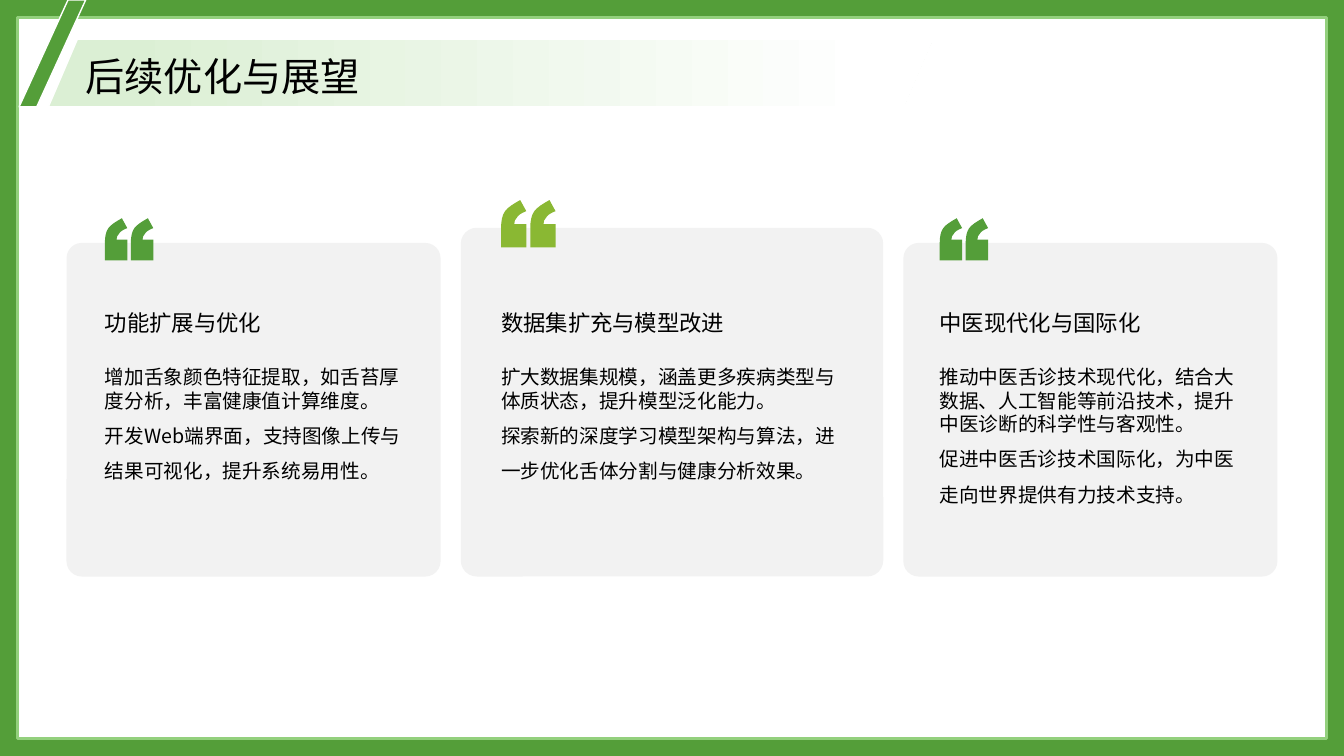
from lxml.etree import SubElement
from pptx import Presentation
from pptx.dml.color import RGBColor as RGB
from pptx.enum.shapes import MSO_SHAPE as SHAPE
from pptx.enum.text import MSO_ANCHOR as ANCHOR
from pptx.oxml.ns import qn
from pptx.util import Inches, Pt

COLORS = {"green": "549E39", "lime": "8AB833", "edge": "93D07D", "mint": "DBEFD4",
          "card": "F2F2F2", "white": "FFFFFF", "text": "000000"}
FONT = "Noto Sans CJK SC"
QUOTE = [(0.19, 0), (0.25, 0.11), (0.2, 0.13), (0.17, 0.15), (0.16, 0.17),
         (0.14, 0.19), (0.13, 0.21), (0.13, 0.24), (0.25, 0.24), (0.25, 0.47), (0, 0.47),
         (0, 0.28), (0, 0.21), (0.01, 0.15), (0.04, 0.11), (0.07, 0.07), (0.12, 0.04), (0.19, 0)]
CURVE_STARTS = (1, 4, 11, 14)
CARDS = [
    {"width": 3.71, "top": 2.41, "pad": 0.31, "mark": 0.48, "color": "green",
     "heading": "功能扩展与优化",
     "body": "增加舌象颜色特征提取，如舌苔厚度分析，丰富健康值计算维度。\n"
             "开发Web端界面，支持图像上传与结果可视化，提升系统易用性。"},
    {"width": 4.19, "top": 2.26, "pad": 0.33, "mark": 0.54, "color": "lime",
     "heading": "数据集扩充与模型改进",
     "body": "扩大数据集规模，涵盖更多疾病类型与体质状态，提升模型泛化能力。\n"
             "探索新的深度学习模型架构与算法，进一步优化舌体分割与健康分析效果。"},
    {"width": 3.71, "top": 2.41, "pad": 0.29, "mark": 0.48, "color": "green",
     "heading": "中医现代化与国际化",
     "body": "推动中医舌诊技术现代化，结合大数据、人工智能等前沿技术，提升中医诊断的科学性与客观性。\n"
             "促进中医舌诊技术国际化，为中医走向世界提供有力技术支持。"},
]


def rgb(name):
    """Return the named colour."""
    return RGB.from_string(COLORS[name])


def paint(sp, fill=None, line=None, width=1):
    """Set the fill and outline of a shape and drop its shadow."""
    sp.shadow.inherit = False
    if fill:
        sp.fill.solid()
        sp.fill.fore_color.rgb = rgb(fill)
    if line:
        sp.line.color.rgb = rgb(line)
        sp.line.width = Pt(width)
    else:
        sp.line.fill.background()


def add_block(s, kind, box, fill=None, line=None, width=1, adj=None):
    """Add a preset shape in a box given in inches."""
    sp = s.shapes.add_shape(kind, *map(Inches, box))
    if adj is not None:
        sp.adjustments[0] = adj
    paint(sp, fill, line, width)
    return sp


def add_text(s, box, text, size, spacing, anchor=ANCHOR.MIDDLE, inset=(0.07, 0.04)):
    """Add a text box holding one run of text."""
    tf = s.shapes.add_textbox(*map(Inches, box)).text_frame
    side, end = map(Inches, inset)
    frame = {"word_wrap": True, "vertical_anchor": anchor, "margin_left": side,
             "margin_right": side, "margin_top": end, "margin_bottom": end}
    for name, value in frame.items():
        setattr(tf, name, value)
    p = tf.paragraphs[0]
    p.line_spacing = spacing
    r = p.add_run()
    r.text = text
    for name, value in {"name": FONT, "size": Pt(size)}.items():
        setattr(r.font, name, value)
    r.font.color.rgb = rgb("text")
    SubElement(r.font._element, qn("a:ea"), typeface=FONT)


def bend(sp):
    """Turn the control points of each quote contour into cubic curves."""
    outline = next(sp._element.iter(qn("a:path")))
    lines = outline.findall(qn("a:lnTo"))
    contour = len(QUOTE) - 1
    for first in (0, contour):
        for start in CURVE_STARTS:
            group = lines[first + start:first + start + 3]
            cubic = SubElement(outline, qn("a:cubicBezTo"))
            group[0].addprevious(cubic)
            for line in group:
                cubic.append(line[0])
                outline.remove(line)


def add_quote(s, left, top, width, color):
    """Draw a double opening quote mark of the given width."""
    k = width / 0.54
    marks = [[(Inches(left + k * (x + dx)), Inches(top + k * y)) for x, y in QUOTE]
             for dx in (0.29, 0)]
    builder = s.shapes.build_freeform(*marks[0][0])
    builder.add_line_segments(marks[0][1:], close=True)
    builder.move_to(*marks[1][0])
    builder.add_line_segments(marks[1][1:], close=True)
    sp = builder.convert_to_shape()
    bend(sp)
    paint(sp, color)


def add_card(s, box, card):
    """Place a card with its heading, body and quote mark."""
    left, top, width, height = box
    bottom, pad, mark = top + height, card["pad"], card["mark"]
    x, w = left + pad, width - 2 * pad
    add_block(s, SHAPE.ROUNDED_RECTANGLE, box, "card", adj=0.046)
    add_text(s, (x, bottom - 2.97, w, 0.82), card["heading"], 16, 1.3)
    add_text(s, (x, bottom - 2.14, w, 1.96), card["body"], 14, 1.5, ANCHOR.TOP)
    add_quote(s, x + 0.07, top - mark / 2 - 0.005, mark, card["color"])


def add_cards(s, left, bottom, gap):
    """Lay the cards out in a row with a shared bottom edge."""
    for card in CARDS:
        add_card(s, (left, card["top"], card["width"], bottom - card["top"]), card)
        left += card["width"] + gap


def add_frame(s, width, height, border):
    """Draw the green border around the white page."""
    add_block(s, SHAPE.RECTANGLE, (0, 0, width, height), "green")
    add_block(s, SHAPE.RECTANGLE, (border, border, width - 2 * border, height - 2 * border),
              "white", "edge", 2)


def add_title(s, box, text):
    """Draw the fading title band with its slanted accent."""
    left, top, width, height = box
    band = add_block(s, SHAPE.PARALLELOGRAM, box, line="white", adj=0.429)
    band.fill.gradient()
    band.fill.gradient_angle = 0
    for stop, (position, name) in zip(band.fill.gradient_stops, [(0.08, "mint"), (0.93, "white")]):
        stop.position = position
        stop.color.rgb = rgb(name)
    add_text(s, (left + 0.37, top + 0.08, 6.47, height - 0.16), text, 28, 1.1, inset=(0, 0))
    add_block(s, SHAPE.PARALLELOGRAM, (left - 0.29, 0, 0.66, top + height),
              "green", "white", adj=0.735)


def main():
    """Build and save the slide."""
    prs = Presentation()
    prs.slide_width, prs.slide_height = Inches(13.33), Inches(7.5)
    s = prs.slides.add_slide(prs.slide_layouts[6])
    add_frame(s, 13.33, 7.5, 0.17)
    add_cards(s, 0.66, 5.72, 0.2)
    add_title(s, (0.48, 0.39, 8.77, 0.67), "后续优化与展望")
    prs.save("out.pptx")


if __name__ == "__main__":
    main()
